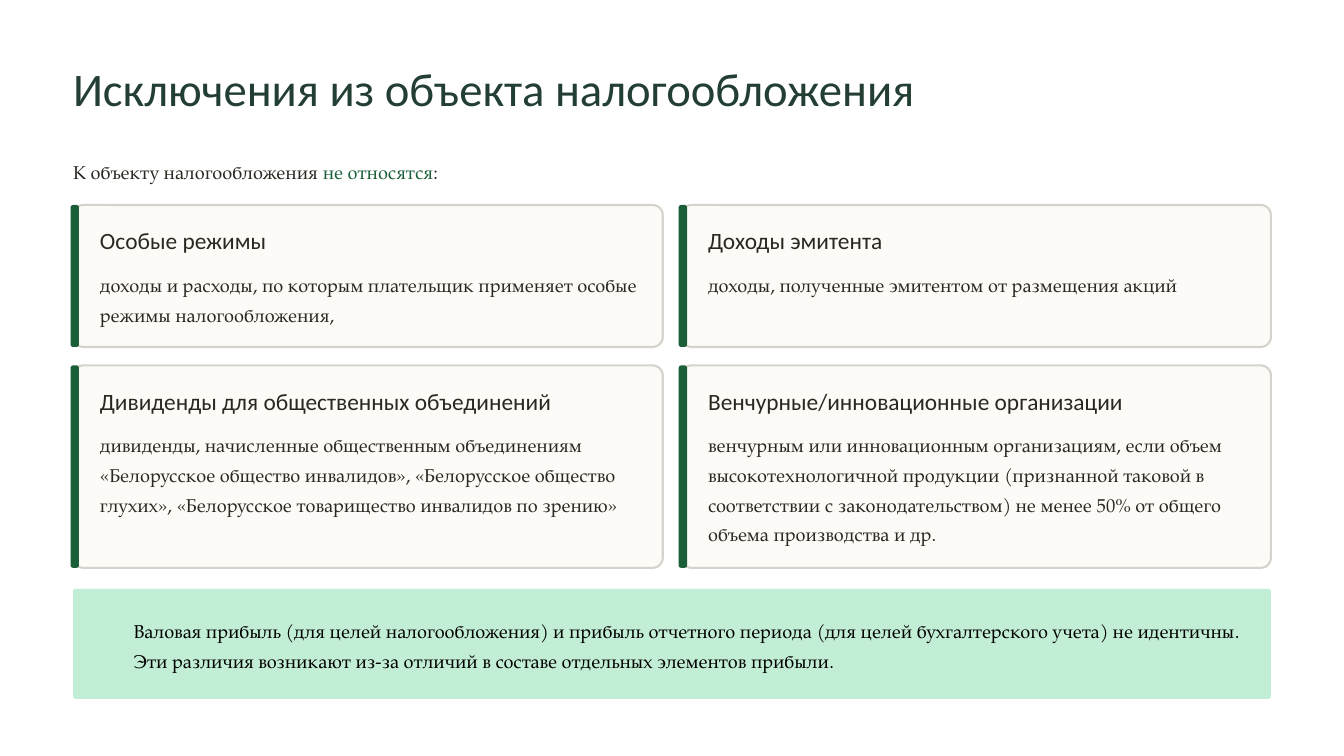
from pptx import Presentation
from pptx.dml.color import RGBColor
from pptx.enum.shapes import MSO_SHAPE as Shape
from pptx.util import Inches, Pt

INK = RGBColor(0x2C, 0x28, 0x21)
BLACK = RGBColor(0x00, 0x00, 0x00)
WHITE = RGBColor(0xFF, 0xFF, 0xFF)
TITLE_GREEN = RGBColor(0x23, 0x3E, 0x32)
ACCENT = RGBColor(0x1B, 0x5F, 0x39)
MINT = RGBColor(0xC3, 0xEE, 0xD6)
CARD_FILL = RGBColor(0xFC, 0xFB, 0xF8)
CARD_LINE = RGBColor(0xD6, 0xD3, 0xCC)

HEADING_FONT = "Calibri"
BODY_FONT = "TeX Gyre Pagella"

MARGIN = 0.87
CONTENT_WIDTH = 14.26
CARD_WIDTH = 7.02
COLUMNS = (MARGIN, MARGIN + CONTENT_WIDTH - CARD_WIDTH)
ROWS = ((2.44, 1.69), (4.35, 2.41))  # top and height

# Heading, heading width, body; row by row
CARDS = (
    ("Особые режимы", 2.79,
     "доходы и расходы, по которым плательщик применяет особые режимы "
     "налогообложения,"),
    ("Доходы эмитента", 2.79,
     "доходы, полученные эмитентом от размещения акций"),
    ("Дивиденды для общественных объединений", 5.9,
     "дивиденды, начисленные общественным объединениям «Белорусское общество "
     "инвалидов», «Белорусское общество глухих», «Белорусское товарищество "
     "инвалидов по зрению»"),
    ("Венчурные/инновационные организации", 5.47,
     "венчурным или инновационным организациям, если объем "
     "высокотехнологичной продукции (признанной таковой в соответствии с "
     "законодательством) не менее 50% от общего объема производства и др."),
)

NOTE = (
    "Валовая прибыль (для целей налогообложения) и прибыль отчетного периода "
    "(для целей бухгалтерского учета) не идентичны. Эти различия возникают "
    "из-за отличий в составе отдельных элементов прибыли."
)


def add_text(slide, left, top, width, height, parts, font=BODY_FONT, size=16,
             spacing=25.5, wrap=True):
    """Add one paragraph made of (text, colour) parts."""
    box = slide.shapes.add_textbox(
        Inches(left), Inches(top), Inches(width), Inches(height))
    frame = box.text_frame
    frame.margin_left = frame.margin_right = 0
    frame.margin_top = frame.margin_bottom = 0
    frame.word_wrap = wrap
    paragraph = frame.paragraphs[0]
    paragraph.line_spacing = Pt(spacing)
    for text, color in parts:
        run = paragraph.add_run()
        run.text = text
        run.font.name = font
        run.font.size = Pt(size)
        run.font.color.rgb = color


def add_panel(slide, left, top, width, height, radius, fill, line=None):
    """Add a rounded rectangle with a corner radius in inches."""
    shape = slide.shapes.add_shape(
        Shape.ROUNDED_RECTANGLE,
        Inches(left), Inches(top), Inches(width), Inches(height))
    shape.adjustments[0] = radius / min(width, height)
    shape.shadow.inherit = False
    shape.fill.solid()
    shape.fill.fore_color.rgb = fill
    if line is None:
        shape.line.fill.background()
    else:
        shape.line.color.rgb = line
        shape.line.width = Pt(1.8)


def add_card(slide, left, top, height, heading, heading_width, body):
    add_panel(slide, left, top, CARD_WIDTH, height, 0.12, CARD_FILL, CARD_LINE)
    add_panel(slide, left - 0.03, top, 0.1, height, 0.03, ACCENT)
    text_left = left + 0.32
    add_text(slide, text_left, top + 0.24, heading_width, 0.35,
             [(heading, INK)], HEADING_FONT, 20, 25, wrap=False)
    add_text(slide, text_left, top + 0.73, 6.45, height - 0.98, [(body, INK)])


def main():
    presentation = Presentation()
    presentation.slide_width = Inches(16)
    presentation.slide_height = Inches(9)
    slide = presentation.slides.add_slide(presentation.slide_layouts[6])
    slide.background.fill.solid()
    slide.background.fill.fore_color.rgb = WHITE

    add_text(slide, MARGIN, 0.68, 11.31, 0.7,
             [("Исключения из объекта налогообложения", TITLE_GREEN)],
             HEADING_FONT, 40, 50, wrap=False)
    add_text(slide, MARGIN, 1.83, CONTENT_WIDTH, 0.36,
             [("К объекту налогообложения ", INK), ("не относятся", ACCENT),
              (":", INK)], wrap=False)

    for index, card in enumerate(CARDS):
        row, column = divmod(index, len(COLUMNS))
        add_card(slide, COLUMNS[column], *ROWS[row], *card)

    add_panel(slide, MARGIN, 7.01, CONTENT_WIDTH, 1.31, 0.03, MINT)
    add_text(slide, 1.59, 7.29, 13.32, 0.71, [(NOTE, BLACK)])

    presentation.save("out.pptx")


if __name__ == "__main__":
    main()
